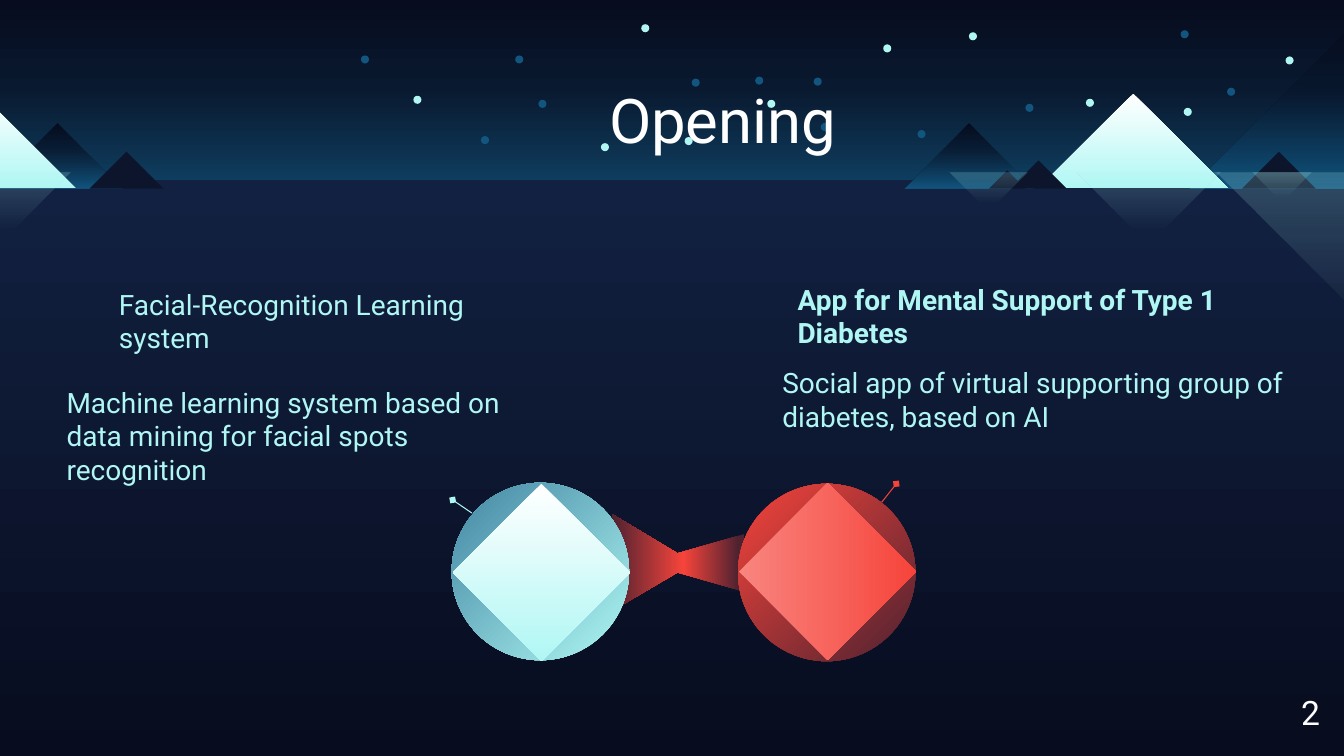
import collections

import lxml.etree
import pptx
import pptx.dml.color
import pptx.enum.shapes
import pptx.enum.text
import pptx.oxml
import pptx.oxml.ns
import pptx.util

RGB = pptx.dml.color.RGBColor
SHAPES = pptx.enum.shapes.MSO_SHAPE
ANCHOR = pptx.enum.text.MSO_ANCHOR
ALIGN = pptx.enum.text.PP_ALIGN

WHITE = RGB(0xFF, 0xFF, 0xFF)
ICE = RGB(0xB0, 0xF7, 0xF4)
LAKE = RGB(0x41, 0x86, 0xA2)
BLUE = RGB(0x12, 0x56, 0x80)
DUSK = RGB(0x09, 0x19, 0x2F)
NIGHT = RGB(0x07, 0x0C, 0x1E)
HILL = RGB(0x0C, 0x15, 0x2C)
WATER = RGB(0x12, 0x21, 0x41)
RED = RGB(0xF6, 0x44, 0x3B)
CORAL = RGB(0xF9, 0x85, 0x7F)
WINE = RGB(0x4E, 0x22, 0x30)

Gradient = collections.namedtuple("Gradient", "angle stops")
Box = collections.namedtuple("Box", "left top width height")

COLUMNS, ROWS = 13.33, 7.5
CELL = pptx.util.Inches(1)
FONT = "Roboto"

SKY = Gradient(90, [(0, NIGHT, 100), (36, DUSK, 100), (100, BLUE, 100)])
LAKE_WATER = Gradient(90, [(0, WATER, 100), (100, NIGHT, 100)])
DARK_PEAK = Gradient(90, [(0, NIGHT, 100), (43, DUSK, 73), (100, BLUE, 100)])
SNOW = Gradient(90, [(0, WHITE, 100), (100, ICE, 100)])
REFLECTION = Gradient(270, [(0, ICE, 0), (22, ICE, 0), (100, ICE, 20)])
ICE_DISC = Gradient(225, [(0, ICE, 100), (100, LAKE, 100)])
RED_DISC = Gradient(225, [(0, WINE, 100), (100, RED, 100)])
RED_GEM = Gradient(0, [(0, CORAL, 100), (100, RED, 100)])
BRIDGE = Gradient(180, [(0, WINE, 100), (4, WINE, 100), (46, RED, 100), (100, WINE, 100)])

PEAKS = [(11.8, 3.28, DARK_PEAK), (8.97, 1.28, DARK_PEAK), (10.3, 1.88, SNOW),
         (12.32, 0.73, HILL), (10.02, 0.56, HILL), (9.81, 0.36, HILL),
         (-0.07, 1.28, DARK_PEAK), (-1.13, 1.88, SNOW), (0.89, 0.73, HILL)]
REFLECTIONS = [(-0.73, 1.43), (10.68, 1.43), (9.42, 0.77), (12.07, 3.97), (12.42, 0.59)]
STARS = {
    ICE: [(5.96, 1.42), (9.61, 0.32), (6.79, 1.36), (4.1, 0.95), (6.36, 0.24), (7.61, 0.99),
          (12.75, 0.56), (10.77, 0.98), (11.74, 1.07), (8.76, 0.44)],
    BLUE: [(5.34, 0.99), (7.49, 0.76), (6.86, 0.78), (9.1, 1.29), (5.11, 0.55), (4.77, 1.35),
           (10.17, 1.03), (12.17, 0.87), (11.71, 0.3), (8.14, 1.22), (8.07, 0.77), (3.58, 0.55)],
}


def cells(*lengths):
    """Turn grid lengths into slide units."""
    return [pptx.util.Emu(round(length * CELL)) for length in lengths]


def paint(shape, fill):
    """Fill a shape with a colour or gradient, with no line or shadow."""
    shape.shadow.inherit = False
    shape.line.fill.background()
    if not isinstance(fill, Gradient):
        shape.fill.solid()
        shape.fill.fore_color.rgb = fill
        return
    stops = "".join(
        f'<a:gs pos="{position * 1000}"><a:srgbClr val="{colour}">'
        f'<a:alpha val="{opacity * 1000}"/></a:srgbClr></a:gs>'
        for position, colour, opacity in fill.stops)
    gradient = pptx.oxml.parse_xml(
        f'<a:gradFill {pptx.oxml.ns.nsdecls("a")} rotWithShape="1"><a:gsLst>{stops}</a:gsLst>'
        f'<a:lin ang="{fill.angle * 60000}" scaled="0"/></a:gradFill>')
    shape.fill.background()
    properties = shape._element.spPr
    properties.replace(properties.find(pptx.oxml.ns.qn("a:noFill")), gradient)


def preset(slide, kind, box, fill):
    """Place a painted preset shape."""
    paint(slide.shapes.add_shape(kind, *cells(*box)), fill)


def outline(slide, corners, fill):
    """Place a painted closed outline."""
    points = [cells(*corner) for corner in corners]
    builder = slide.shapes.build_freeform(*points[0])
    builder.add_line_segments(points[1:], close=True)
    paint(builder.convert_to_shape(), fill)


def pointer(slide, start, end, colour):
    """Draw a thin line that ends in a diamond."""
    line = slide.shapes.add_connector(
        pptx.enum.shapes.MSO_CONNECTOR.STRAIGHT, *cells(*start, *end))
    line.line.color.rgb = colour
    line.line.width = pptx.util.Pt(0.75)
    qn = pptx.oxml.ns.qn
    lxml.etree.SubElement(line.line._get_or_add_ln(), qn("a:tailEnd"), type="diamond")
    lxml.etree.SubElement(line._element.spPr, qn("a:effectLst"))


def write(holder, box, text, size, colour, bold=False, anchor=ANCHOR.TOP, align=ALIGN.LEFT):
    """Place a text holder and set its one paragraph."""
    holder.left, holder.top, holder.width, holder.height = cells(*box)
    frame = holder.text_frame
    frame.word_wrap = True
    frame.auto_size = pptx.enum.text.MSO_AUTO_SIZE.NONE
    frame.vertical_anchor = anchor
    frame.margin_left = frame.margin_right = frame.margin_top = frame.margin_bottom = 0
    frame.text = text
    paragraph = frame.paragraphs[0]
    paragraph.alignment = align
    font = paragraph.font
    font.name, font.size, font.bold = FONT, pptx.util.Pt(size), bold
    font.color.rgb = colour


def landscape(slide, box):
    """Draw sky, water, peaks, reflections and stars."""
    preset(slide, SHAPES.RECTANGLE, Box(box.left, box.top, box.width, 2.42), SKY)
    preset(slide, SHAPES.RECTANGLE, Box(box.left, box.top + 1.79, box.width, 5.79), LAKE_WATER)
    triangles = [(left, width, 1.87, -1, fill) for left, width, fill in PEAKS]
    triangles += [(left, width, 1.71, 1, REFLECTION) for left, width in REFLECTIONS]
    for left, width, base, direction, fill in triangles:
        x, y = box.left + left, box.top + base
        tip = (x + width / 2, y + direction * width / 2)
        outline(slide, [(x, y), (x + width, y), tip], fill)
    for colour, places in STARS.items():
        for x, y in places:
            preset(slide, SHAPES.OVAL, Box(box.left + x, box.top + y, 0.08, 0.08), colour)


def linked_gems(slide, box):
    """Draw two gems in discs joined by a bridge, with their pointers."""
    x, y, size = box.left, box.top, box.height
    right = x + box.width - size
    middle = y + 0.79
    pointer(slide, (right + 1.34, y + 0.3), (right + 1.57, y + 0.01), RED)
    bridge = [(2.24, -0.09), (1.59, -0.48), (1.59, 0.48), (2.24, 0.1), (2.9, 0.29), (2.9, -0.28)]
    outline(slide, [(x + dx, middle + dy) for dx, dy in bridge], BRIDGE)
    for left, disc, gem, drop in ((x, ICE_DISC, SNOW, 0.01), (right, RED_DISC, RED_GEM, 0)):
        preset(slide, SHAPES.OVAL, Box(left, y + 0.01 - drop, size, size), disc)
        preset(slide, SHAPES.DIAMOND, Box(left + 0.01, y + drop, size, size), gem)
    pointer(slide, (x + 0.2, y + 0.3), (x + 0.01, y + 0.17), ICE)


def project(slide, box, name, summary, name_shift, summary_drop, bold=False):
    """Write a project's name and, below it, its summary."""
    name_box = Box(box.left + name_shift, box.top, box.width - name_shift, 0.67)
    summary_box = Box(box.left, box.top + summary_drop, box.width, box.height - summary_drop)
    for part, text, weight in ((name_box, name, bold), (summary_box, summary, False)):
        write(slide.shapes.add_textbox(0, 0, 0, 0), part, text, 20, ICE, weight)


def opening_slide(deck):
    """Build the opening slide."""
    slide = deck.slides.add_slide(deck.slide_layouts[5])
    landscape(slide, Box(0, 0, COLUMNS, ROWS))
    title = slide.shapes.title
    write(title, Box(6.04, 0.81, 2.37, 0.74), "Opening", 44, WHITE, anchor=ANCHOR.MIDDLE)
    slide.shapes._spTree.append(title._element)
    linked_gems(slide, Box(4.48, 4.79, 4.6, 1.76))
    project(slide, Box(0.66, 2.85, 4.32, 1.98), "Facial-Recognition Learning system",
            "Machine learning system based on data mining for facial spots recognition",
            0.52, 0.97)
    project(slide, Box(7.76, 2.8, 5.07, 1.5), "App for Mental Support of Type 1 Diabetes",
            "Social app of virtual supporting group of diabetes, based on AI",
            0.15, 0.83, bold=True)
    write(slide.shapes.add_textbox(0, 0, 0, 0), Box(12.7, 6.81, 0.6, 0.5), "2", 24, WHITE,
          anchor=ANCHOR.MIDDLE, align=ALIGN.CENTER)


def main():
    """Create and save the deck."""
    deck = pptx.Presentation()
    deck.slide_width, deck.slide_height = cells(COLUMNS, ROWS)
    opening_slide(deck)
    deck.save("out.pptx")


if __name__ == "__main__":
    main()
